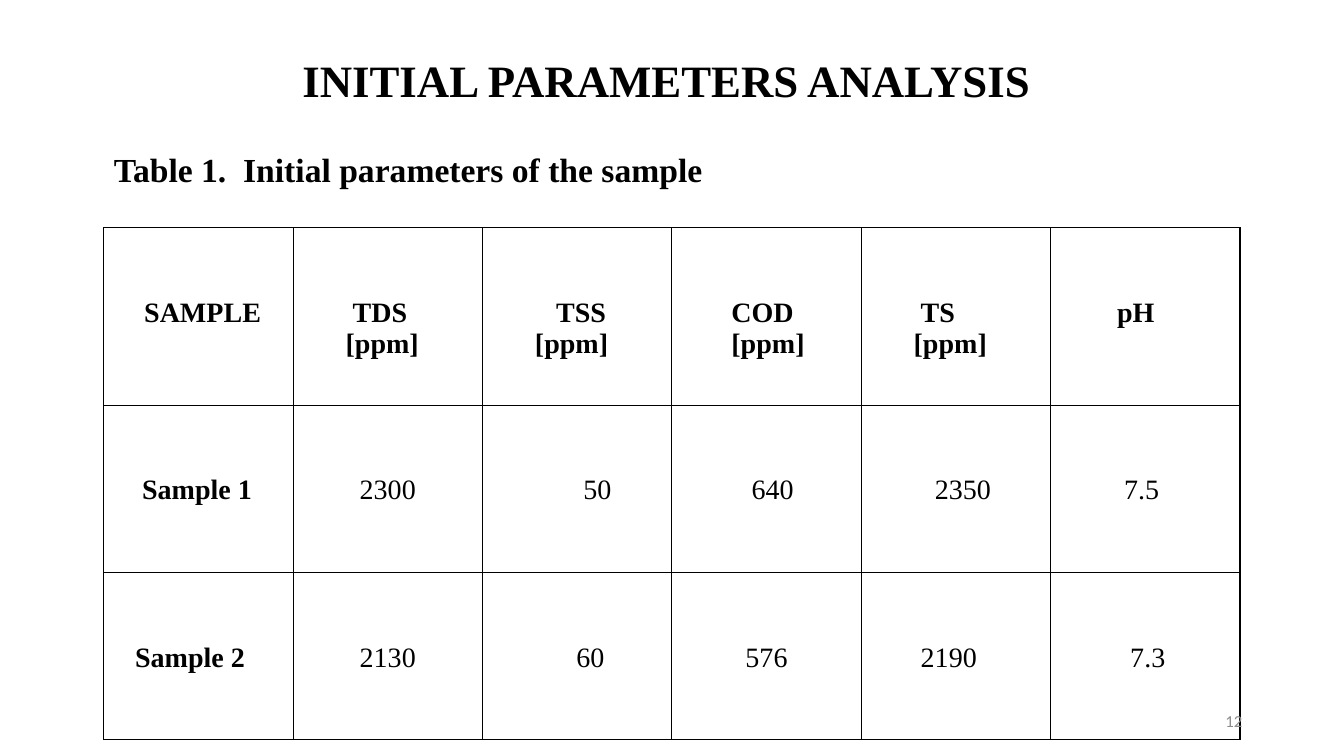
from lxml import etree
from pptx import Presentation
from pptx.dml.color import RGBColor
from pptx.enum import text
from pptx.oxml.ns import qn
from pptx.util import Inches, Pt

SERIF = "Times New Roman"


def write(p, words, size, bold=False, font=SERIF, color="000000"):
    r = p.add_run()
    r.text = words
    for name, value in dict(size=Pt(size), bold=bold, name=font).items():
        setattr(r.font, name, value)
    r.font.color.rgb = RGBColor.from_string(color)


def add_borders(cell):
    tc_pr = cell._tc.get_or_add_tcPr()
    for side in ("lnL", "lnR", "lnT", "lnB"):
        ln = etree.SubElement(tc_pr, qn(f"a:{side}"), w=str(Pt(1)))
        fill = etree.SubElement(ln, qn("a:solidFill"))
        etree.SubElement(fill, qn("a:srgbClr"), val="000000")


prs = Presentation()
prs.slide_width, prs.slide_height = Inches(13.33), Inches(7.5)
s = prs.slides.add_slide(prs.slide_layouts[5])

title = s.shapes.title
title.left, title.top = Inches(0), Inches(0.44)
title.width, title.height = Inches(13.33), Inches(0.77)
title.text_frame.vertical_anchor = text.MSO_ANCHOR.MIDDLE
p = title.text_frame.paragraphs[0]
p.alignment, p.line_spacing = text.PP_ALIGN.CENTER, 0.9
write(p, "INITIAL PARAMETERS ANALYSIS ", 32, True)

# Each cell is a list of lines: (words, left indent in inches)
rows = [
    [[("SAMPLE", 0.3)],
     [("TDS", 0.49), ("[ppm]", 0.42)],
     [("TSS", 0.63), ("[ppm]", 0.42)],
     [("COD", 0.49), ("[ppm]", 0.49)],
     [("TS", 0.49), ("[ppm]", 0.42)],
     [("pH", 0.56)]],
    [[("Sample 1", 0.28)], [("2300", 0.56)], [("50", 0.9)],
     [("640", 0.69)], [("2350", 0.63)], [("7.5", 0.63)]],
    [[("Sample 2", 0.21)], [("2130", 0.56)], [("60", 0.83)],
     [("576", 0.63)], [("2190", 0.49)], [("7.3", 0.69)]],
]
row_heights = [1.76, 1.66, 1.66]
frame = s.shapes.add_table(len(rows), len(rows[0]), Inches(1.03), Inches(2.26),
                           Inches(11.27), Inches(sum(row_heights)))
table = frame.table
table.first_row = table.horz_banding = False
for i, row in enumerate(rows):
    table.rows[i].height = Inches(row_heights[i])
    for j, lines in enumerate(row):
        cell = table.cell(i, j)
        cell.margin_top = Inches(0.69)
        add_borders(cell)
        cell.fill.background()
        tf = cell.text_frame
        for n, (words, indent) in enumerate(lines):
            p = tf.add_paragraph() if n else tf.paragraphs[0]
            p._p.get_or_add_pPr().set("marL", str(Inches(indent)))
            write(p, words, 20, bold=i == 0 or j == 0)

number = s.shapes.add_textbox(Inches(9.42), Inches(6.95), Inches(3), Inches(0.4))
tf = number.text_frame
tf.word_wrap, tf.vertical_anchor = True, text.MSO_ANCHOR.MIDDLE
tf.paragraphs[0].alignment = text.PP_ALIGN.RIGHT
write(tf.paragraphs[0], "12", 12, font="Calibri", color="8C8C8C")

caption = s.shapes.add_textbox(Inches(1.03), Inches(1.43), Inches(10.69), Inches(0.5))
caption.text_frame.word_wrap = True
write(caption.text_frame.paragraphs[0], "Table 1.  Initial parameters of the sample", 24, True)

prs.save("out.pptx")
